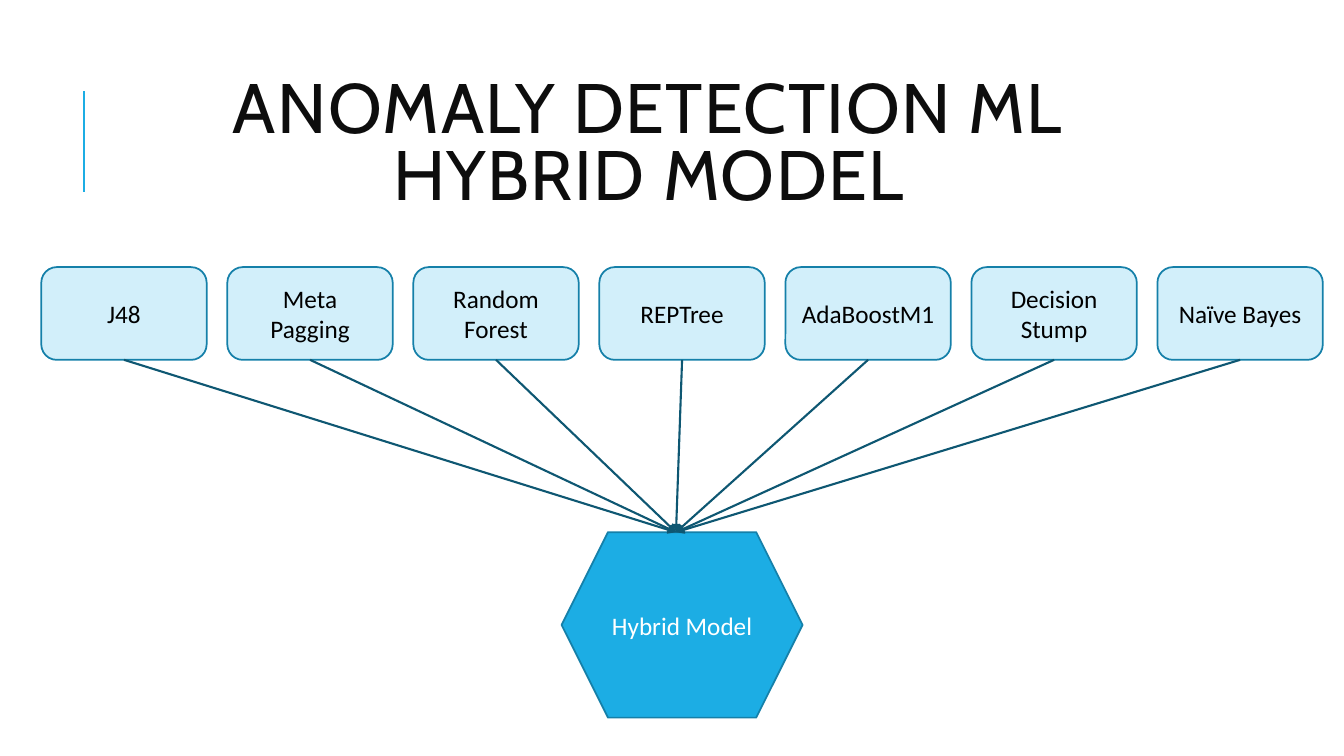
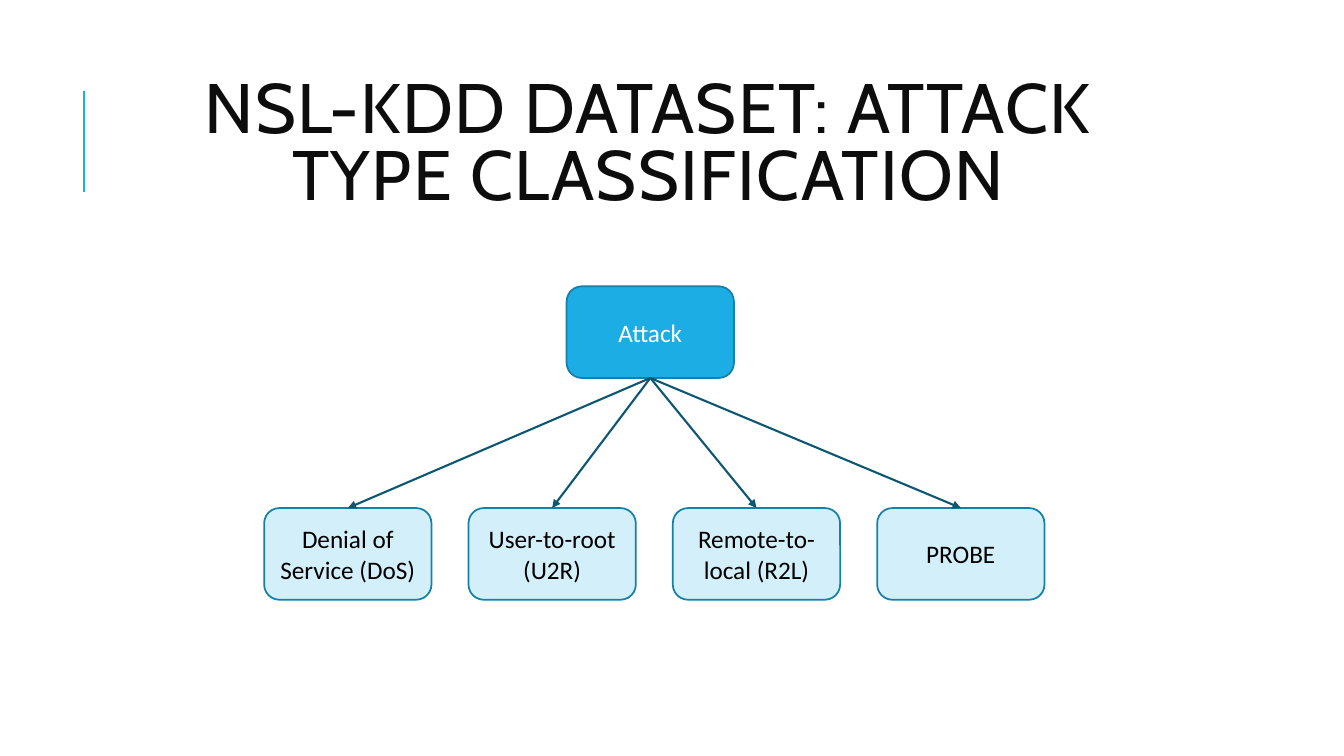
from dataclasses import dataclass

from lxml import etree
from pptx import Presentation
from pptx.dml.color import RGBColor
from pptx.enum.shapes import MSO_CONNECTOR, MSO_SHAPE
from pptx.enum.text import MSO_ANCHOR, PP_ALIGN
from pptx.oxml.ns import qn
from pptx.util import Inches, Pt

STRAIGHT = MSO_CONNECTOR.STRAIGHT
ROUND = MSO_SHAPE.ROUNDED_RECTANGLE
HEXAGON = MSO_SHAPE.HEXAGON
MIDDLE = MSO_ANCHOR.MIDDLE
CENTER = PP_ALIGN.CENTER
TOP, BOTTOM = 0, 2


@dataclass(frozen=True)
class Theme:
    accent: str = "1CADE4"
    pale: str = "D2EFFA"
    edge: str = "1580A9"
    arrow: str = "0E5772"
    ink: str = "0D0D0D"
    black: str = "000000"
    white: str = "FFFFFF"
    head: str = "Cabin"
    body: str = "Calibri"
    big: float = 50
    small: float = 18
    thin: float = 1.25
    thick: float = 1.5


THEME = Theme()


def color(code):
    return RGBColor.from_string(code)


def write(shape, text, *, font=THEME.body, size=THEME.small,
          ink=THEME.black, leading=None, track=None):
    """Fill a shape with one centred paragraph."""
    frame = shape.text_frame
    frame.word_wrap = True
    frame.vertical_anchor = MIDDLE
    para = frame.paragraphs[0]
    para.alignment = CENTER
    if leading:
        para.line_spacing = leading
    run = para.add_run()
    run.text = text
    run.font.name = font
    run.font.size = Pt(size)
    run.font.color.rgb = color(ink)
    if track:
        run._r.get_or_add_rPr().set("spc", str(track * 100))


def line(slide, start, end, ink, arrow=False):
    """Draw a straight line between two points in inches."""
    link = slide.shapes.add_connector(
        STRAIGHT, *(Inches(v) for v in (*start, *end)))
    link.line.color.rgb = color(ink)
    link.line.width = Pt(THEME.thick)
    props = link._element.spPr
    if arrow:
        tail = etree.SubElement(link.line._get_or_add_ln(), qn("a:tailEnd"))
        tail.set("type", "triangle")
    etree.SubElement(props, qn("a:effectLst"))
    return link


def node(slide, box, text, kind=ROUND, fill=THEME.pale, ink=THEME.black):
    """Draw one labelled shape."""
    shape = slide.shapes.add_shape(kind, *(Inches(v) for v in box))
    shape.shadow.inherit = False
    shape.fill.solid()
    shape.fill.fore_color.rgb = color(fill)
    shape.line.color.rgb = color(THEME.edge)
    shape.line.width = Pt(THEME.thin)
    write(shape, text, ink=ink)
    return shape


def row(slide, box, names, width):
    """Spread equal nodes across the box, edge to edge."""
    left, top, span, height = box
    step = (span - width) / (len(names) - 1)
    return [node(slide, (left + i * step, top, width, height), name)
            for i, name in enumerate(names)]


def header(slide, box, text):
    """Place the title and the upright rule beside it."""
    left, top, _, height = box
    x, mid = left - 0.29, top + height / 2 - 0.06
    line(slide, (x, mid + 0.5), (x, mid - 0.5), THEME.accent)
    title = slide.shapes.add_textbox(*(Inches(v) for v in box))
    write(title, text, font=THEME.head, size=THEME.big, ink=THEME.ink,
          leading=0.8, track=1)


def merge(slide, box, names, goal):
    """Row of models on top, all leading down to one hexagon."""
    left, top, span, height = box
    models = row(slide, (left, top, span, 0.92), names, 1.64)
    hub = (left + 5.16, top + height - 1.84, 2.39, 1.84)
    node(slide, hub, goal, HEXAGON, THEME.accent, THEME.white)
    # Arrows meet just left of the middle of the top edge
    tip = (hub[0] + hub[2] / 2 - 0.06, hub[1])
    for model in models:
        link = line(slide, (left, top), tip, THEME.arrow, arrow=True)
        link.begin_connect(model, BOTTOM)


def split(slide, box, names, root):
    """One root on top, with arrows down to a row of classes."""
    left, top, span, height = box
    wide, tall = 1.66, 0.91
    source = node(slide, (left + 3, top, wide, tall), root,
                  fill=THEME.accent, ink=THEME.white)
    base = (left, top + height - tall, span, tall)
    for leaf in row(slide, base, names, wide):
        link = line(slide, (left, top), (left, top), THEME.arrow, arrow=True)
        link.begin_connect(source, BOTTOM)
        link.end_connect(leaf, TOP)


SLIDES = [
    ("ANOMALY DETECTION ML HYBRID MODEL", merge, (0.41, 2.65, 12.71, 4.47),
     ["J48", "Meta Pagging", "Random Forest", "REPTree", "AdaBoostM1",
      "Decision Stump", "Naïve Bayes"], "Hybrid Model"),
    ("NSL-KDD DATASET: ATTACK TYPE CLASSIFICATION", split,
     (2.62, 2.84, 7.74, 3.11),
     ["Denial of Service (DoS)", "User-to-root (U2R)",
      "Remote-to-local (R2L)", "PROBE"], "Attack"),
]


def main():
    deck = Presentation()
    deck.slide_width, deck.slide_height = Inches(13.33), Inches(7.5)
    blank = deck.slide_layouts[6]
    for title, draw, box, names, main_name in SLIDES:
        slide = deck.slides.add_slide(blank)
        header(slide, (1.12, 0.64, 10.63, 1.64), title)
        draw(slide, box, names, main_name)
    deck.save("out.pptx")


if __name__ == "__main__":
    main()
